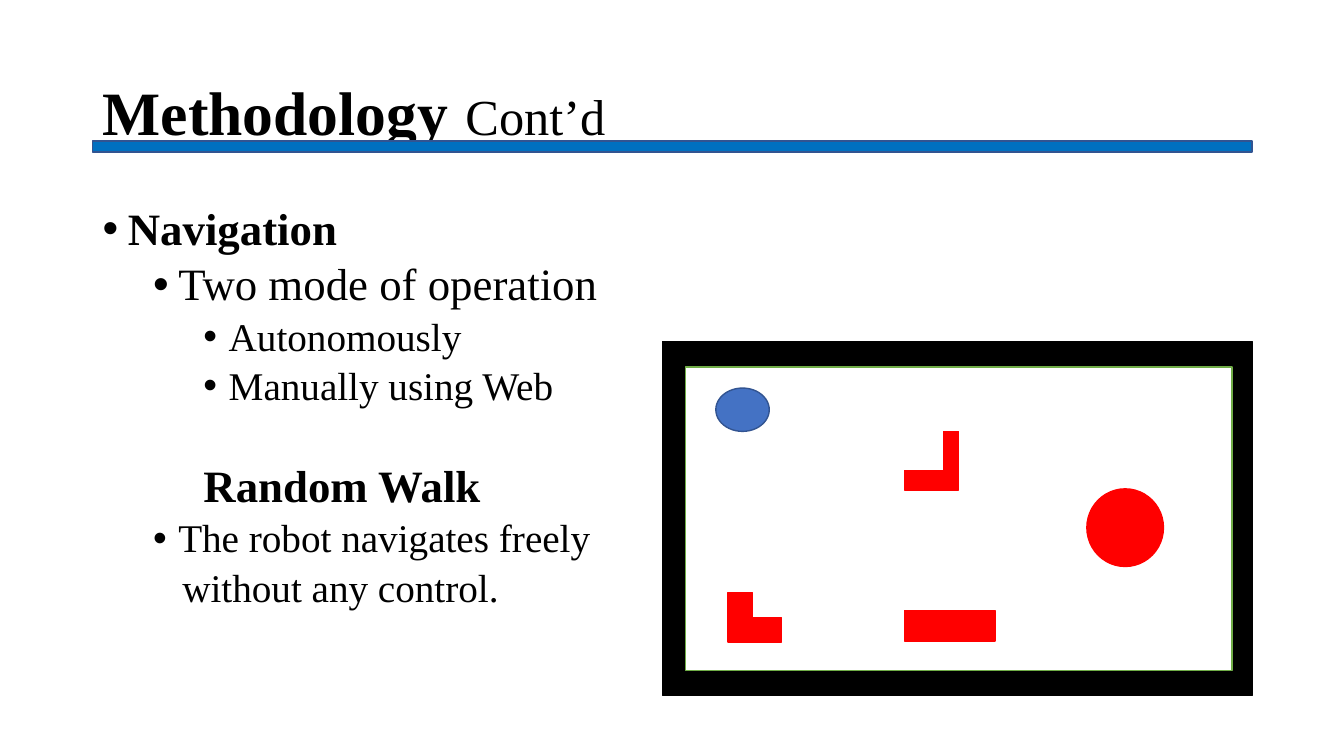
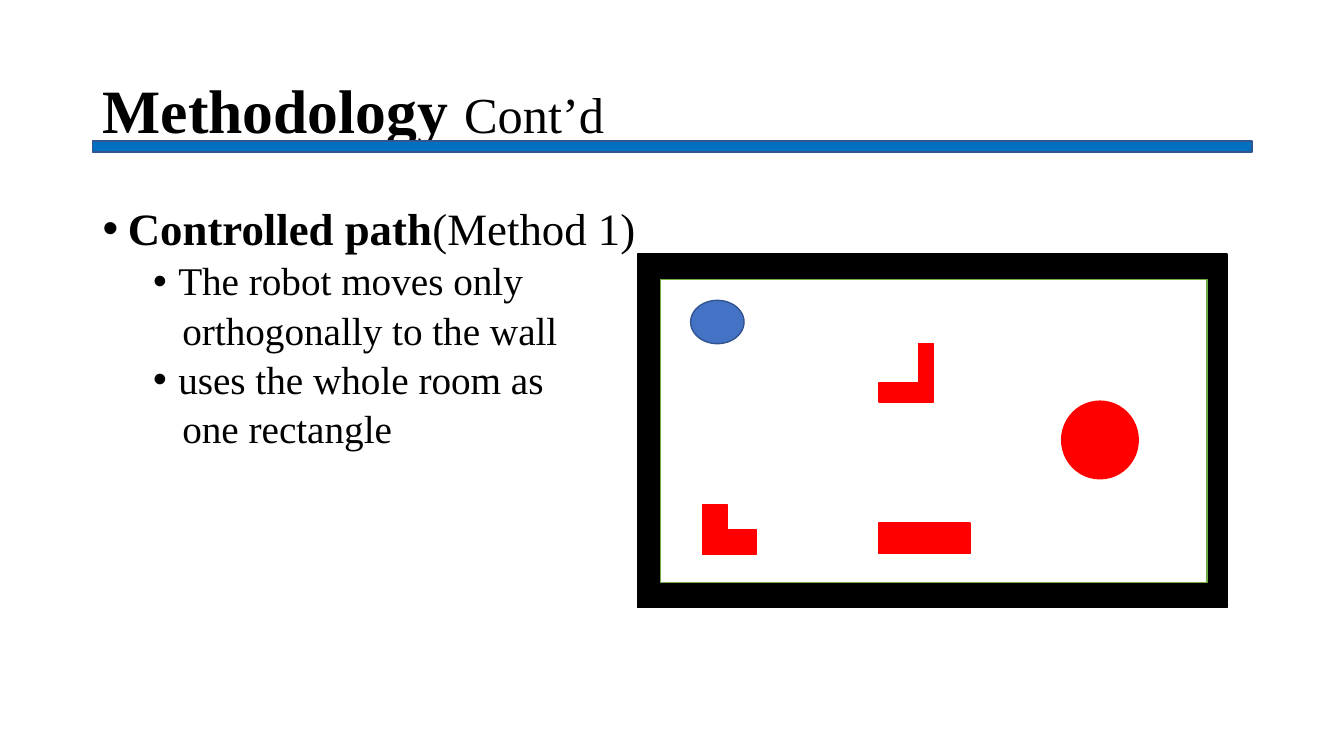
from lxml import etree
from pptx import Presentation
from pptx import util as u
from pptx.dml.color import RGBColor
from pptx.enum import shapes, text
from pptx.oxml.ns import qn

FONT = "Times New Roman"
HUES = {"ink": "000000", "bar": "0070C0", "edge": "325491", "wall": "000000",
        "floor": "FFFFFF", "rim": "70AD47", "robot": "4472C4", "block": "FF0000"}
KIND = shapes.MSO_SHAPE
RECT, OVAL, BEND = KIND.RECTANGLE, KIND.OVAL, KIND.CORNER

# Paragraph styles: left edge, bullet, space before
STYLES = {
    "head": (0.25, True, 10),
    "item": (0.75, True, 5),
    "more": (0.79, False, 5),
    "sub": (1.25, True, 5),
    "label": (1, False, 39),
    "title": (0, False, 0),
}

# Room map: shape, offset from the room's corner, size, fill, line
ROOM = [
    (RECT, 0, 0, 5.85, 3.51, "wall", "wall"),
    (RECT, 0.23, 0.25, 5.42, 3.01, "floor", "rim"),
    (OVAL, 0.53, 0.46, 0.53, 0.43, "robot", "edge"),
    (RECT, 2.79, 0.89, 0.15, 0.58, "block", "block"),
    (RECT, 2.4, 1.28, 0.53, 0.19, "block", "block"),
    (BEND, 0.65, 2.49, 0.53, 0.49, "block", "block"),
    (RECT, 2.4, 2.67, 0.9, 0.3, "block", "block"),
    (OVAL, 4.21, 1.46, 0.76, 0.77, "block", "block"),
]

# Slides: size of the gap in the title, corner of the room, body text
SLIDES = [
    (48, (6.57, 3.39), [
        ("head", [("Navigation", 32, True)]),
        ("item", [("Two mode of operation", 32, False)]),
        ("sub", [("Autonomously", 28, False)]),
        ("sub", [("Manually using Web", 28, False)]),
        ("label", [("Random Walk", 32, True)]),
        ("item", [("The robot navigates freely", 28, False)]),
        ("more", [("without any control.", 28, False)]),
    ]),
    (44, (6.32, 2.52), [
        ("head", [("Controlled path", 32, True), ("(Method 1)", 32, False)]),
        ("item", [("The robot moves only", 28, False)]),
        ("more", [("orthogonally to the wall", 28, False)]),
        ("item", [("uses the whole room as", 28, False)]),
        ("more", [("one rectangle", 28, False)]),
    ]),
]


def draw(slide, kind, x, y, w, h, fill, line):
    shape = slide.shapes.add_shape(kind, *map(u.Inches, (x, y, w, h)))
    shape.shadow.inherit = False
    shape.fill.solid()
    shape.fill.fore_color.rgb = RGBColor.from_string(HUES[fill])
    shape.line.color.rgb = RGBColor.from_string(HUES[line])
    shape.line.width = u.Pt(1)


def write(slide, y, h, anchor, paras):
    frame = slide.shapes.add_textbox(*map(u.Inches, (0.92, y, 11.5, h))).text_frame
    frame.word_wrap = True
    frame.vertical_anchor = anchor
    for i, (style, runs) in enumerate(paras):
        para = frame.add_paragraph() if i else frame.paragraphs[0]
        left, dot, gap = STYLES[style]
        para.line_spacing = 0.9
        para.space_before = u.Pt(gap)
        props = para._p.get_or_add_pPr()
        props.set("marL", str(u.Inches(left)))
        if dot:
            props.set("indent", str(u.Inches(-0.25)))
            etree.SubElement(props, qn("a:buFont")).set("typeface", "Arial")
            etree.SubElement(props, qn("a:buChar")).set("char", "•")
        for words, size, bold in runs:
            run = para.add_run()
            run.text = words
            form = {"name": FONT, "size": u.Pt(size), "bold": bold}
            for key, value in form.items():
                setattr(run.font, key, value)
            run.font.color.rgb = RGBColor.from_string(HUES["ink"])


deck = Presentation()
deck.slide_width, deck.slide_height = u.Inches(13.33), u.Inches(7.5)

for space, (left, top), body in SLIDES:
    slide = deck.slides.add_slide(deck.slide_layouts[6])

    # Title and body
    title = [("Methodology", 44, True), (" ", space, True), ("Cont’d", 36, False)]
    write(slide, 0.4, 1.45, text.MSO_ANCHOR.MIDDLE, [("title", title)])
    write(slide, 2, 4.76, text.MSO_ANCHOR.TOP, body)

    # Bar under the title
    draw(slide, RECT, 0.92, 1.4, 11.5, 0.11, "bar", "edge")

    # Room with robot and obstacles
    for kind, x, y, w, h, fill, line in ROOM:
        draw(slide, kind, left + x, top + y, w, h, fill, line)

deck.save("out.pptx")
